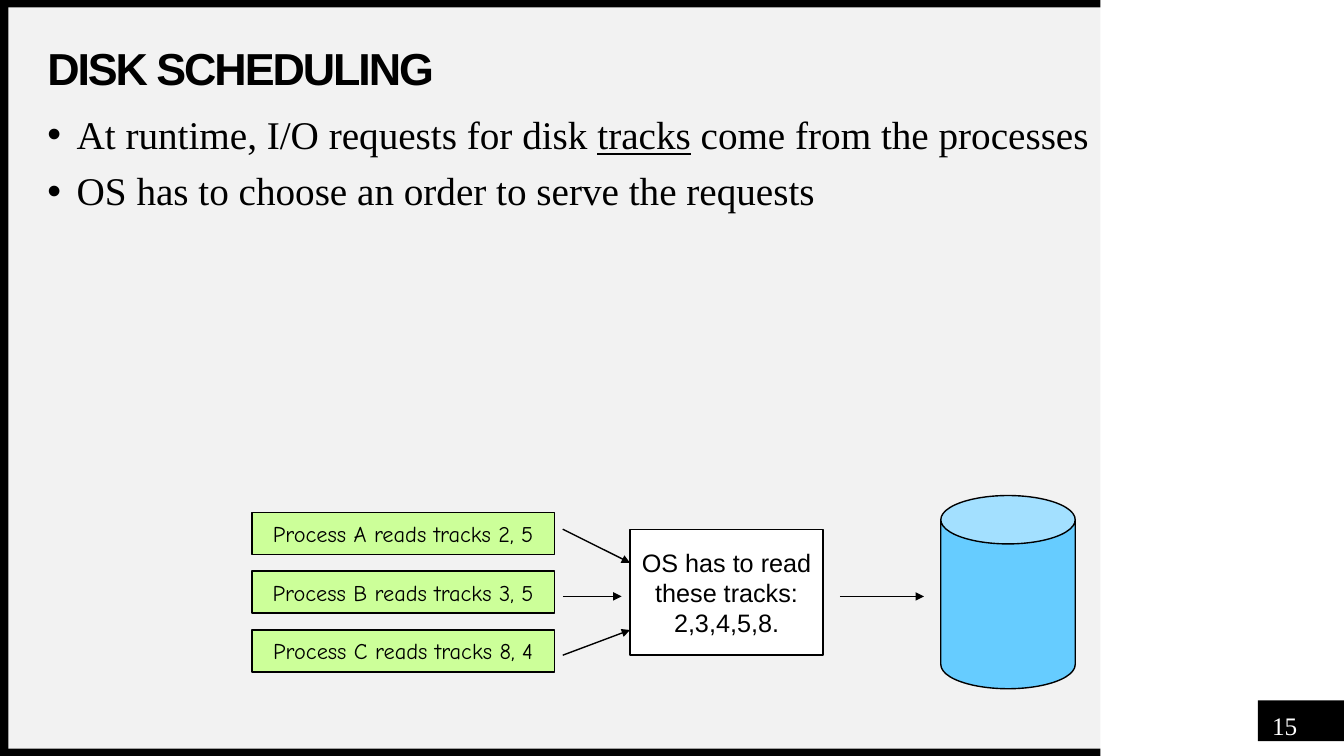
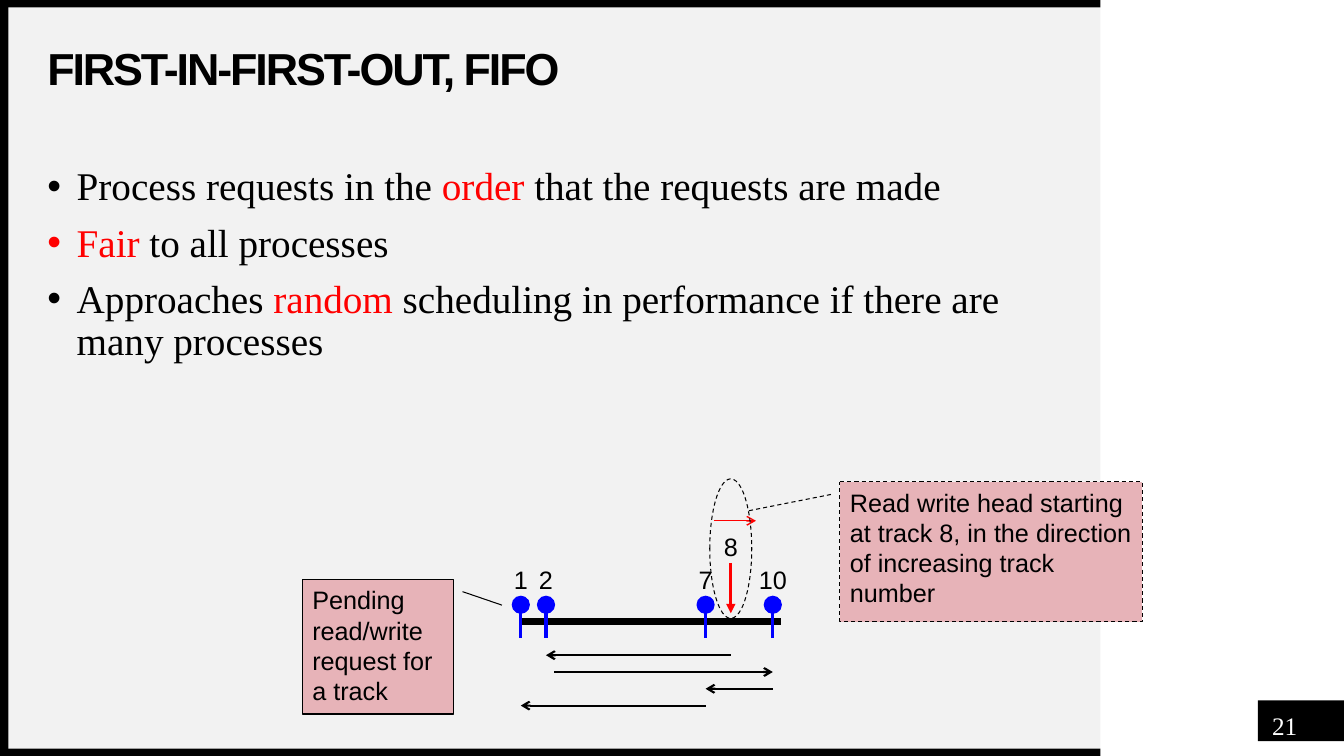
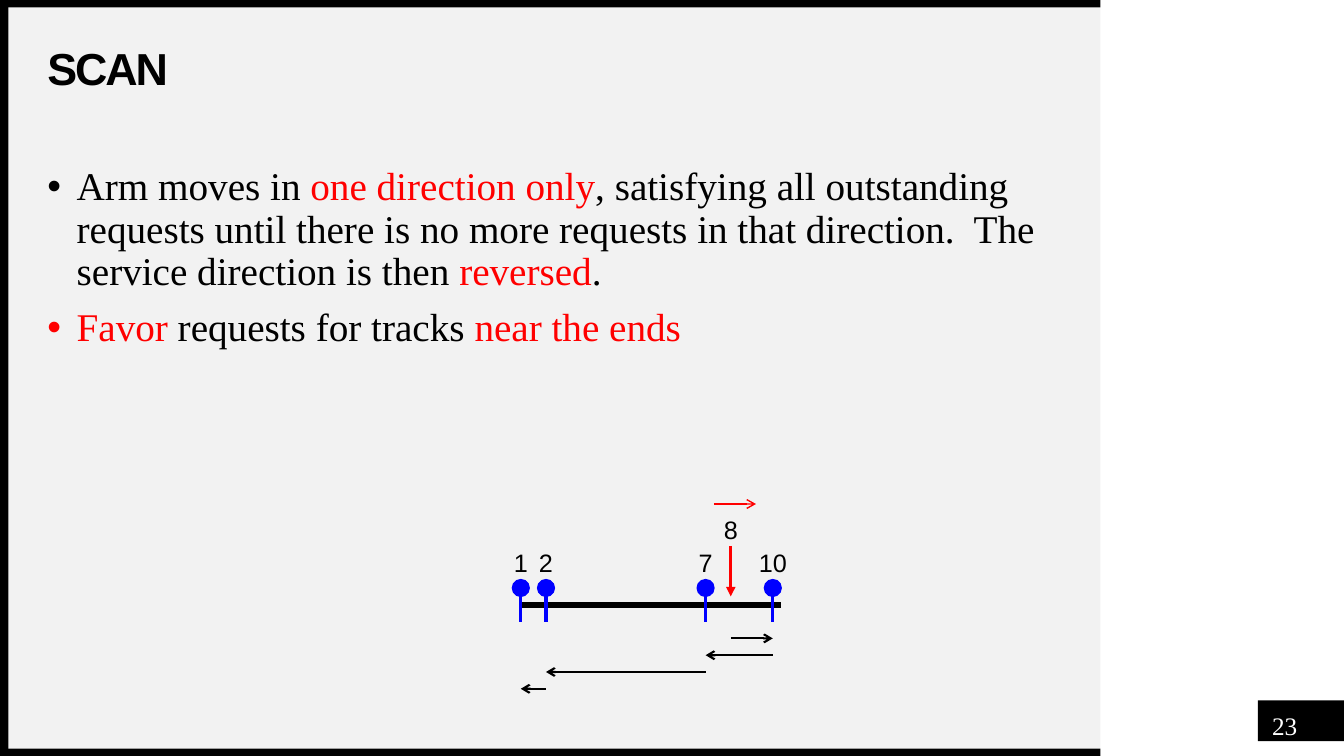
from dataclasses import dataclass
from typing import NamedTuple

from lxml.etree import SubElement
from pptx import Presentation
from pptx.dml.color import RGBColor
from pptx.enum.dml import MSO_LINE
from pptx.enum.shapes import MSO_CONNECTOR as Link, MSO_SHAPE as Preset
from pptx.enum.text import MSO_ANCHOR as Anchor, PP_ALIGN as Align
from pptx.oxml.ns import qn
from pptx.util import Emu, Pt

BLACK = RGBColor(0x00, 0x00, 0x00)
WHITE = RGBColor(0xFF, 0xFF, 0xFF)
PANEL = RGBColor(0xF2, 0xF2, 0xF2)
RED = RGBColor(0xFF, 0x00, 0x00)
BLUE = RGBColor(0x00, 0x00, 0xFF)
SKY = RGBColor(0x66, 0xCC, 0xFF)
LIME = RGBColor(0xCC, 0xFF, 0x99)
ROSE = RGBColor(0xE7, 0xB3, 0xB8)

EMU_PER_PX = 9525
BULLET_INDENT = 28
TRACK_X = {1: 496, 2: 520, 7: 672, 8: 696, 10: 736}
REQUESTS = (1, 2, 7, 10)
HEAD_TRACK = 8


class Area(NamedTuple):
    left: int
    top: int
    width: int
    height: int


class Point(NamedTuple):
    x: int
    y: int


class Words(NamedTuple):
    text: str
    color: RGBColor = BLACK
    underline: bool = False


class Move(NamedTuple):
    start: int
    stop: int
    shift: int = 0


@dataclass(frozen=True)
class TextStyle:
    font: str = "Arial"
    size: int = 18
    color: RGBColor = BLACK
    bold: bool = False
    align: Align = Align.LEFT
    anchor: Anchor = Anchor.TOP
    wrap: bool = True


@dataclass(frozen=True)
class Stroke:
    color: RGBColor = BLACK
    width: float = 1
    dashed: bool = False
    arrow: str = ""


TITLE = TextStyle(size=32, bold=True, anchor=Anchor.MIDDLE)
BODY = TextStyle("Times New Roman", 28)
PAGE_NUMBER = TextStyle("Times New Roman", color=WHITE)
PROCESS = TextStyle("Comic Neue", 16, align=Align.CENTER, anchor=Anchor.MIDDLE, wrap=False)
QUEUE = TextStyle(align=Align.CENTER, anchor=Anchor.MIDDLE)
TRACK = TextStyle(align=Align.CENTER, anchor=Anchor.MIDDLE, wrap=False)
CALLOUT = TextStyle()

THIN = Stroke()
FLOW = Stroke(arrow="triangle")
AXIS = Stroke(width=4.5)
PIN = Stroke(BLUE, 2.25)
HEAD = Stroke(RED, 2.25, arrow="triangle")
DIRECTION = Stroke(RED, arrow="arrow")
SEEK = Stroke(width=1.5, arrow="arrow")
HAIRLINE = Stroke(width=0.75)
DASHED = Stroke(width=0.75, dashed=True)


def px(length: int) -> Emu:
    return Emu(length * EMU_PER_PX)


def emu(area: Area) -> list[Emu]:
    return [px(length) for length in area]


def set_font(span, style: TextStyle, color: RGBColor) -> None:
    span.font.name = style.font
    span.font.size = Pt(style.size)
    span.font.bold = style.bold
    span.font.color.rgb = color


def set_frame(frame, style: TextStyle) -> None:
    frame.word_wrap = style.wrap
    frame.vertical_anchor = style.anchor


def write(frame, text: str, style: TextStyle) -> None:
    set_frame(frame, style)
    frame.text = text
    para = frame.paragraphs[0]
    para.alignment = style.align
    set_font(para.runs[0], style, style.color)


def clear_margins(frame) -> None:
    frame.margin_left = frame.margin_right = 0
    frame.margin_top = frame.margin_bottom = 0


def add_text(page, area: Area, text: str, style: TextStyle):
    box = page.shapes.add_textbox(*emu(area))
    write(box.text_frame, text, style)
    return box


def apply_stroke(line, stroke: Stroke) -> None:
    line.color.rgb = stroke.color
    line.width = Pt(stroke.width)
    if stroke.dashed:
        line.dash_style = MSO_LINE.DASH


def add_box(shapes, preset: Preset, area: Area, fill: RGBColor | None = None,
            stroke: Stroke | None = None):
    box = shapes.add_shape(preset, *emu(area))
    box.shadow.inherit = False
    if fill is None:
        box.fill.background()
    else:
        box.fill.solid()
        box.fill.fore_color.rgb = fill
    if stroke is None:
        box.line.fill.background()
    else:
        apply_stroke(box.line, stroke)
    return box


def add_line(shapes, start: Point, stop: Point, stroke: Stroke) -> None:
    line = shapes.add_connector(Link.STRAIGHT, px(start.x), px(start.y), px(stop.x), px(stop.y))
    apply_stroke(line.line, stroke)
    properties = line.element.spPr
    if stroke.arrow:
        SubElement(properties.find(qn("a:ln")), qn("a:tailEnd"), type=stroke.arrow)
    SubElement(properties, qn("a:effectLst"))


def add_page(deck, title: str, number: int):
    page = deck.slides.add_slide(deck.slide_layouts[6])
    for area, color in (
        (Area(8, 7, 1040, 706), PANEL),
        (Area(1198, 667, 82, 39), BLACK),
        (Area(0, 713, 1048, 7), BLACK),
        (Area(0, 0, 1048, 7), BLACK),
        (Area(0, 0, 8, 720), BLACK),
    ):
        add_box(page.shapes, Preset.RECTANGLE, area, color)
    box = add_text(page, Area(45, 45, 966, 45), title, TITLE)
    clear_margins(box.text_frame)
    para = box.text_frame.paragraphs[0]
    para.line_spacing = 0.9
    para.runs[0].font._element.set("spc", "-150")
    add_text(page, Area(1202, 672, 58, 30), str(number), PAGE_NUMBER)
    return page


def add_bullets(page, area: Area, bullets: list[list[Words]]) -> None:
    frame = page.shapes.add_textbox(*emu(area)).text_frame
    set_frame(frame, BODY)
    clear_margins(frame)
    for index, bullet in enumerate(bullets):
        para = frame.add_paragraph() if index else frame.paragraphs[0]
        properties = para._p.get_or_add_pPr()
        properties.set("marL", str(px(BULLET_INDENT)))
        properties.set("indent", str(px(-BULLET_INDENT)))
        SubElement(properties, qn("a:buFont"), typeface="Arial")
        SubElement(properties, qn("a:buChar"), char="•")
        para.line_spacing = 0.9
        if index:
            para.space_before = Pt(10)
        for words in bullet:
            span = para.add_run()
            span.text = words.text
            set_font(span, BODY, words.color)
            span.font.underline = words.underline


def add_track_label(page, track: int, top: int) -> None:
    box = add_text(page, Area(TRACK_X[track] - 16, top, 32, 32), str(track), TRACK)
    clear_margins(box.text_frame)


def add_pin(page, x: int, axis: int) -> None:
    group = page.shapes.add_group_shape()
    add_line(group.shapes, Point(x, axis - 16), Point(x, axis + 16), PIN)
    add_box(group.shapes, Preset.OVAL, Area(x - 8, axis - 24, 16, 16), BLUE, Stroke(BLUE))


def add_track_diagram(page, axis: int, moves: list[Move]) -> None:
    shapes = page.shapes
    add_line(shapes, Point(TRACK_X[1], axis), Point(744, axis), AXIS)
    for track in REQUESTS:
        add_pin(page, TRACK_X[track], axis)
        add_track_label(page, track, axis - 56)
    head_x = TRACK_X[HEAD_TRACK]
    add_line(shapes, Point(head_x, axis - 56), Point(head_x, axis - 8), HEAD)
    add_track_label(page, HEAD_TRACK, axis - 88)
    for index, move in enumerate(moves):
        y = axis + 32 + 16 * index
        start = Point(TRACK_X[move.start] + move.shift, y)
        add_line(shapes, start, Point(TRACK_X[move.stop], y), SEEK)
    add_line(shapes, Point(head_x - 16, axis - 96), Point(head_x + 24, axis - 96), DIRECTION)


def add_callout(page, area: Area, text: str, stroke: Stroke, leader: tuple[float, ...]) -> None:
    box = add_box(page.shapes, Preset.LINE_CALLOUT_1, area, ROSE, stroke)
    for index, value in enumerate(leader):
        box.adjustments[index] = value
    write(box.text_frame, text, CALLOUT)


def build_scheduling(deck) -> None:
    page = add_page(deck, "DISK SCHEDULING", 15)
    add_bullets(page, Area(45, 110, 1053, 538), [
        [Words("At runtime, I/O requests for disk "), Words("tracks", underline=True),
         Words(" come from the processes")],
        [Words("OS has to choose an order to serve the requests")],
    ])
    disk = add_box(page.shapes, Preset.CAN, Area(896, 472, 128, 184), SKY, THIN)
    disk.adjustments[0] = 0.36
    for index, (name, tracks) in enumerate((("A", "2, 5"), ("B", "3, 5"), ("C", "8, 4"))):
        area = Area(240, 488 + 56 * index, 288, 40)
        process = add_box(page.shapes, Preset.RECTANGLE, area, LIME, THIN)
        write(process.text_frame, f"Process {name} reads tracks {tracks}", PROCESS)
    queue = add_box(page.shapes, Preset.RECTANGLE, Area(600, 504, 184, 120), WHITE, THIN)
    write(queue.text_frame, "OS has to read these tracks: 2,3,4,5,8.", QUEUE)
    for start, stop in (
        (Point(536, 504), Point(600, 536)),
        (Point(536, 568), Point(592, 568)),
        (Point(536, 624), Point(600, 600)),
        (Point(800, 568), Point(880, 568)),
    ):
        add_line(page.shapes, start, stop, FLOW)


def build_fifo(deck) -> None:
    page = add_page(deck, "FIRST-IN-FIRST-OUT, FIFO", 21)
    add_bullets(page, Area(45, 159, 966, 489), [
        [Words("Process requests in the "), Words("order", RED),
         Words(" that the requests are made")],
        [Words("Fair", RED), Words(" to all processes")],
        [Words("Approaches "), Words("random", RED),
         Words(" scheduling in performance if there are many processes")],
    ])
    add_track_diagram(page, 592, [Move(8, 2), Move(2, 10, 8), Move(10, 7), Move(7, 1)])
    add_box(page.shapes, Preset.OVAL, Area(676, 456, 40, 133), stroke=DASHED)
    add_callout(
        page, Area(800, 459, 288, 133),
        "Read write head starting at track 8, in the direction of increasing track number",
        DASHED, (0.09, -0.03, 0.21, -0.31),
    )
    add_callout(
        page, Area(288, 552, 144, 128), "Pending read/write request for a track",
        HAIRLINE, (0.09, 1.06, 0.19, 1.32),
    )


def build_scan(deck) -> None:
    page = add_page(deck, "SCAN", 23)
    add_bullets(page, Area(45, 159, 966, 489), [
        [Words("Arm moves in "), Words("one direction only", RED),
         Words(", satisfying all outstanding requests until there is no more requests "
               "in that direction.  The service direction is then "),
         Words("reversed", RED), Words(".")],
        [Words("Favor", RED), Words(" requests for tracks "), Words("near the ends", RED)],
    ])
    add_track_diagram(page, 576, [Move(8, 10), Move(10, 7), Move(7, 2), Move(2, 1)])


def main() -> None:
    deck = Presentation()
    deck.slide_width = px(1280)
    deck.slide_height = px(720)
    build_scheduling(deck)
    build_fifo(deck)
    build_scan(deck)
    deck.save("out.pptx")


if __name__ == "__main__":
    main()
